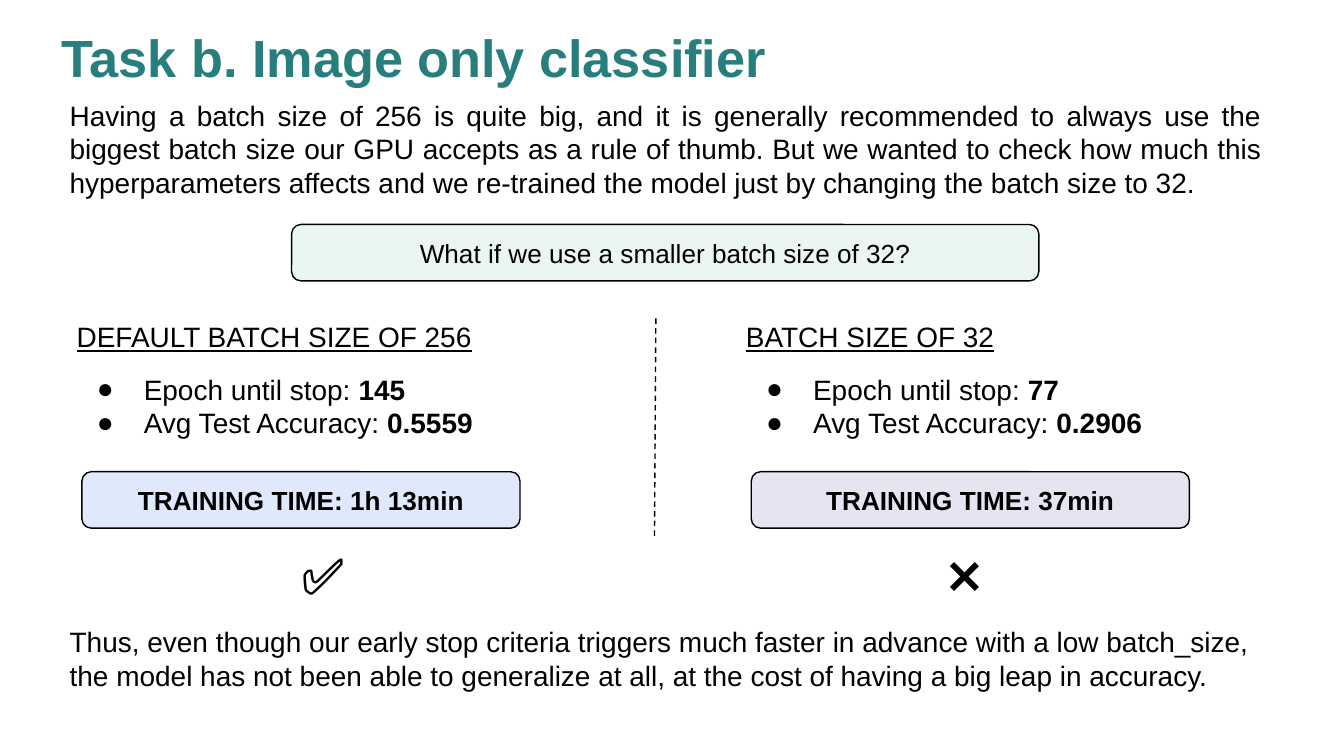
"""Build the slide that compares training with batch sizes of 256 and 32."""
from typing import NamedTuple

import pptx
import pptx.dml.color
import pptx.enum.dml
import pptx.enum.shapes
import pptx.enum.text
import pptx.oxml
import pptx.oxml.ns
import pptx.util
from lxml import etree

WIDTH = pptx.util.Inches(10)
HEIGHT = WIDTH * 9 // 16
COLUMN, ROW = WIDTH / 100, HEIGHT / 56.25
FONT = "Arial"
COLORS = {
    "title": "287D7D",
    "ink": "000000",
    "question": "75C5B1",
    "default": "C9DAF8",
    "small": "D9D2E9",
}
ALIGN = pptx.enum.text.PP_ALIGN
ANCHOR = pptx.enum.text.MSO_ANCHOR
qn = pptx.oxml.ns.qn


class Area(NamedTuple):
    column: float
    row: float
    columns: float
    rows: float


class Style(NamedTuple):
    size: float = 15
    bold: bool = False
    underline: bool = False
    color: str = "ink"


class Experiment(NamedTuple):
    heading: str
    epochs: str
    accuracy: str
    time: str
    mark: str
    mark_indent: float
    color: str
    opacity: int


EXPERIMENTS = [
    Experiment("DEFAULT BATCH SIZE OF 256", "145", "0.5559", "1h 13min", "✅", 16.7, "default", 57),
    Experiment("BATCH SIZE OF 32", "77", "0.2906", "37min", "❌", 15, "small", 61),
]
FIRST_COLUMN, EXPERIMENT_STEP = 4.7, 49.8
INTRO = (
    "Having a batch size of 256 is quite big, and it is generally recommended to always use the "
    "biggest batch size our GPU accepts as a rule of thumb. But we wanted to check how much this "
    "hyperparameters affects and we re-trained the model just by changing the batch size to 32."
)
CONCLUSION = (
    "Thus, even though our early stop criteria triggers much faster in advance with a low batch_size, "
    "the model has not been able to generalize at all, at the cost of having a big leap in accuracy."
)


def across(columns: float) -> int:
    return round(columns * COLUMN)


def down(rows: float) -> int:
    return round(rows * ROW)


def box(area: Area) -> tuple[int, int, int, int]:
    return across(area.column), down(area.row), across(area.columns), down(area.rows)


def rgb(color: str) -> pptx.dml.color.RGBColor:
    return pptx.dml.color.RGBColor.from_string(COLORS[color])


def place(holder, area: Area) -> None:
    holder.left, holder.top, holder.width, holder.height = box(area)


def prepare(frame, anchor, inset_rows: float = 1) -> None:
    frame.word_wrap = True
    frame.auto_size = pptx.enum.text.MSO_AUTO_SIZE.NONE
    frame.vertical_anchor = anchor
    frame.margin_left = frame.margin_right = across(1)
    frame.margin_top = frame.margin_bottom = down(inset_rows)


def add_run(paragraph, text: str, style: Style) -> None:
    run = paragraph.add_run()
    run.text = text
    font = run.font
    font.name, font.size = FONT, pptx.util.Pt(style.size)
    font.bold, font.underline = style.bold, style.underline
    font.color.rgb = rgb(style.color)


def set_list_style(paragraph, margin: float, hanging: float = 0, bullet: str = "") -> None:
    properties = paragraph._p.get_or_add_pPr()
    properties.set("marL", str(across(margin)))
    properties.set("indent", str(-across(hanging)))
    if bullet:
        color = etree.SubElement(properties, qn("a:buClr"))
        etree.SubElement(color, qn("a:srgbClr"), val=COLORS["ink"])
        etree.SubElement(properties, qn("a:buFont"), typeface=FONT)
        etree.SubElement(properties, qn("a:buChar"), char=bullet)
    else:
        etree.SubElement(properties, qn("a:buNone"))


def add_passage(slide, area: Area, text: str, alignment) -> None:
    frame = slide.shapes.add_textbox(*box(area)).text_frame
    prepare(frame, ANCHOR.TOP)
    passage = frame.paragraphs[0]
    passage.alignment = alignment
    add_run(passage, text, Style())


def add_banner(slide, area: Area, text: str, color: str, opacity: int, bold: bool) -> None:
    banner = slide.shapes.add_shape(pptx.enum.shapes.MSO_SHAPE.ROUNDED_RECTANGLE, *box(area))
    banner.shadow.inherit = False
    banner.fill.solid()
    banner.fill.fore_color.rgb = rgb(color)
    tint = banner._element.spPr.find(qn("a:solidFill")).find(qn("a:srgbClr"))
    etree.SubElement(tint, qn("a:alpha"), val=str(opacity * 1000))
    banner.line.color.rgb = rgb("ink")
    banner.line.width = pptx.util.Pt(0.75)
    prepare(banner.text_frame, ANCHOR.MIDDLE)
    label = banner.text_frame.paragraphs[0]
    label.alignment = ALIGN.CENTER
    add_run(label, text, Style(size=14, bold=bold))


def add_divider(slide) -> None:
    divider = slide.shapes.add_connector(
        pptx.enum.shapes.MSO_CONNECTOR.STRAIGHT, across(48.8), down(23.7), across(48.7), down(39.9)
    )
    divider.line.color.rgb = rgb("ink")
    divider.line.width = pptx.util.Pt(0.75)
    divider.line.dash_style = pptx.enum.dml.MSO_LINE.DASH
    etree.SubElement(divider._element.spPr, qn("a:effectLst"))


def fill_results(holder, experiment: Experiment, column: float) -> None:
    place(holder, Area(column, 22.8, 39.6, 18.9))
    frame = holder.text_frame
    prepare(frame, ANCHOR.TOP)
    heading = frame.paragraphs[0]
    set_list_style(heading, 0)
    heading.space_before = pptx.util.Pt(0)
    add_run(heading, experiment.heading, Style(underline=True))
    measures = [("Epoch until stop: ", experiment.epochs, 10), ("Avg Test Accuracy: ", experiment.accuracy, 0)]
    for name, value, gap in measures:
        measure = frame.add_paragraph()
        set_list_style(measure, 5, 3.5, "●")
        measure.space_before = pptx.util.Pt(gap)
        add_run(measure, name, Style())
        add_run(measure, value, Style(bold=True))
    verdict = frame.add_paragraph()
    set_list_style(verdict, experiment.mark_indent)
    verdict.space_before = pptx.util.Pt(56)
    add_run(verdict, experiment.mark, Style(size=27))


def main() -> None:
    deck = pptx.Presentation()
    deck.slide_width, deck.slide_height = WIDTH, HEIGHT
    slide = deck.slides.add_slide(deck.slide_layouts[3])
    title, *results = slide.placeholders
    place(title, Area(3.6, 1.6, 92.8, 5.2))
    prepare(title.text_frame, ANCHOR.MIDDLE, 0.5)
    headline = title.text_frame.paragraphs[0]
    headline.alignment = ALIGN.LEFT
    add_run(headline, "Task b. Image only classifier", Style(28, bold=True, color="title"))

    add_passage(slide, Area(4.2, 6.3, 90.7, 9.3), INTRO, ALIGN.JUSTIFY)
    question = "What if we use a smaller batch size of 32?"
    add_banner(slide, Area(21.7, 16.7, 55.6, 4.2), question, "question", 15, False)
    add_divider(slide)
    for index, (holder, experiment) in enumerate(zip(results, EXPERIMENTS)):
        column = FIRST_COLUMN + index * EXPERIMENT_STEP
        fill_results(holder, experiment, column)
        time_area = Area(column + 1.4, 35.1, 32.6, 4.2)
        label = f"TRAINING TIME: {experiment.time}"
        add_banner(slide, time_area, label, experiment.color, experiment.opacity, True)
    add_passage(slide, Area(4.2, 45.5, 90.7, 9.3), CONCLUSION, ALIGN.LEFT)
    deck.save("out.pptx")


if __name__ == "__main__":
    main()
